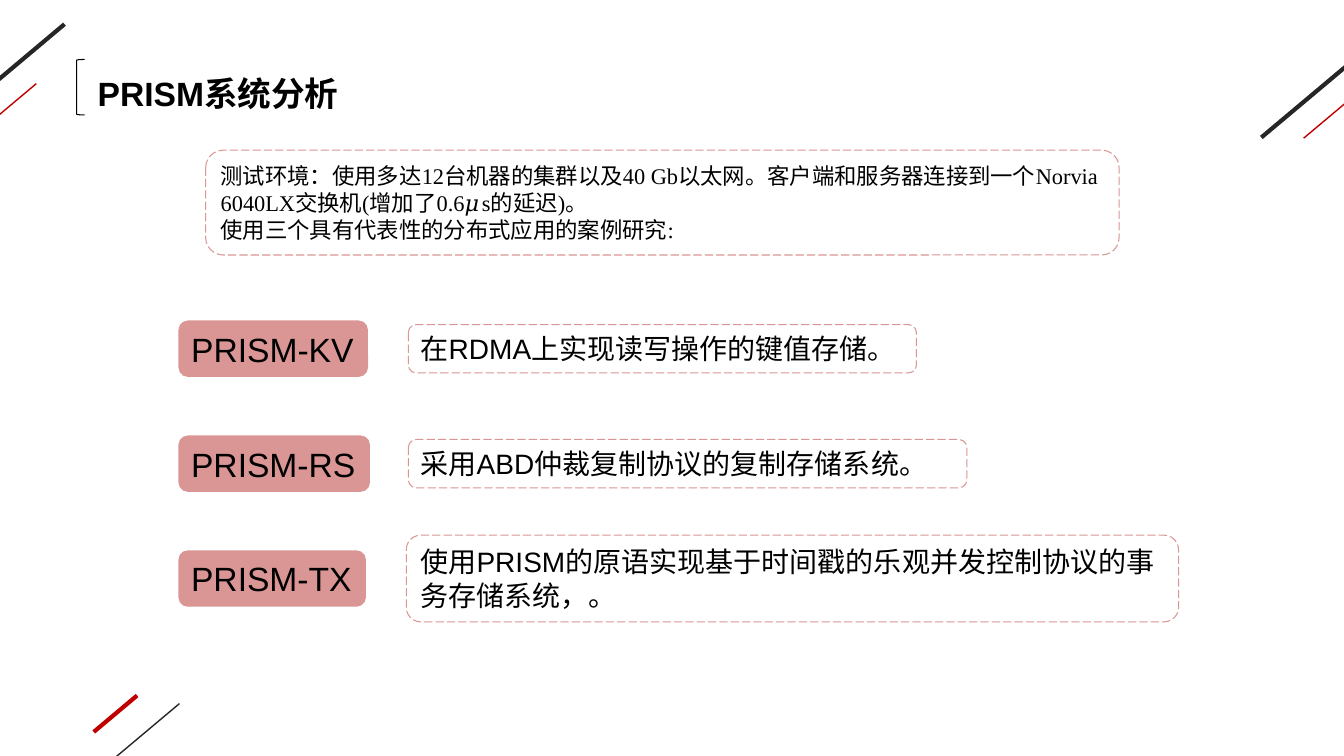
"""Build the slide on the PRISM test setting and its three case studies."""
from lxml.etree import SubElement
from pptx import Presentation
from pptx.dml.color import RGBColor
from pptx.enum.dml import MSO_LINE
from pptx.enum.shapes import MSO_CONNECTOR, MSO_SHAPE
from pptx.enum.text import MSO_ANCHOR, PP_ALIGN
from pptx.oxml.ns import qn
from pptx.util import Inches, Pt

BLACK = RGBColor(0x00, 0x00, 0x00)
DARK = RGBColor(0x26, 0x26, 0x26)
RED = RGBColor(0xC0, 0x00, 0x00)
ROSE = RGBColor(0xD9, 0x96, 0x94)

TITLE = "PRISM系统分析"
SETUP = [
    "测试环境：使用多达12台机器的集群以及40 Gb以太网。客户端和服务器连接到一个"
    "Norvia 6040LX交换机(增加了0.6𝜇s的延迟)。",
    "使用三个具有代表性的分布式应用的案例研究:",
]
CASES = [
    ("PRISM-KV", 1.88, "在RDMA上实现读写操作的键值存储。", 4.05, 5.04, 0.48),
    ("PRISM-RS", 1.9, "采用ABD仲裁复制协议的复制存储系统。", 4.05, 5.54, 0.48),
    ("PRISM-TX", 1.86, "使用PRISM的原语实现基于时间戳的乐观并发控制协议的事务存储系统，。",
     4.03, 7.66, 0.86),
]
STROKES = [
    (0.64, 0.24, 0.85, DARK, 3),
    (0.36, 0.83, 0.42, RED, 1),
    (13.36, 0.65, 0.85, DARK, 3),
    (13.36, 1.01, 0.43, RED, 1),
    (1.36, 6.9, 0.43, RED, 3),
    (1.78, 6.98, 0.85, DARK, 1),
]
SLOPE = 0.84
TAG_X, TAG_H = 1.77, 0.56
ROW_Y, ROW_GAP = 3.46, 1.14

deck = Presentation()
deck.slide_width, deck.slide_height = Inches(13.33), Inches(7.5)
slide = deck.slides.add_slide(deck.slide_layouts[6])
shapes = slide.shapes


def write(shape, lines, size, face="Arial", bold=False, wrap=True):
    frame = shape.text_frame
    frame.text = "\n".join(lines)
    frame.word_wrap = wrap
    for para in frame.paragraphs:
        para.alignment = PP_ALIGN.LEFT
        for run in para.runs:
            font = run.font
            font.name, font.size, font.bold = face, Pt(size), bold
            font.color.rgb = BLACK


def add_shape(kind, *box):
    shape = shapes.add_shape(kind, *map(Inches, box))
    shape.shadow.inherit = False
    shape.fill.background()
    return shape


def add_card(*box):
    card = add_shape(MSO_SHAPE.ROUNDED_RECTANGLE, *box)
    card.text_frame.vertical_anchor = MSO_ANCHOR.MIDDLE
    return card


def add_tag(name, *box):
    tag = add_card(*box)
    tag.fill.solid()
    tag.fill.fore_color.rgb = ROSE
    tag.line.fill.background()
    write(tag, [name], 24, wrap=False)


def add_note(lines, size, face, *box):
    note = add_card(*box)
    note.line.color.rgb = ROSE
    note.line.width = Pt(0.75)
    note.line.dash_style = MSO_LINE.LONG_DASH
    write(note, lines, size, face)


def add_stroke(x, y, run, color, width):
    ends = (x, y, x - run, y + run * SLOPE)
    line = shapes.add_connector(MSO_CONNECTOR.STRAIGHT, *map(Inches, ends))
    line.line.color.rgb = color
    line.line.width = Pt(width)
    SubElement(line._element.spPr, qn("a:effectLst"))


for stroke in STROKES:
    add_stroke(*stroke)

title = shapes.add_textbox(*map(Inches, (0.87, 0.67, 2.61, 0.5)))
write(title, [TITLE], 24, bold=True)
bracket = add_shape(MSO_SHAPE.LEFT_BRACKET, 0.76, 0.59, 0.08, 0.55)
bracket.line.color.rgb = BLACK
bracket.line.width = Pt(0.75)

for row, (name, tag_w, text, left, width, height) in enumerate(CASES):
    mid = ROW_Y + row * ROW_GAP
    add_tag(name, TAG_X, mid - TAG_H / 2, tag_w, TAG_H)
    add_note([text], 20, "Arial", left, mid - height / 2, width, height)

add_note(SETUP, 16, "Times New Roman", 2.04, 1.49, 9.06, 1.04)

deck.save("out.pptx")
